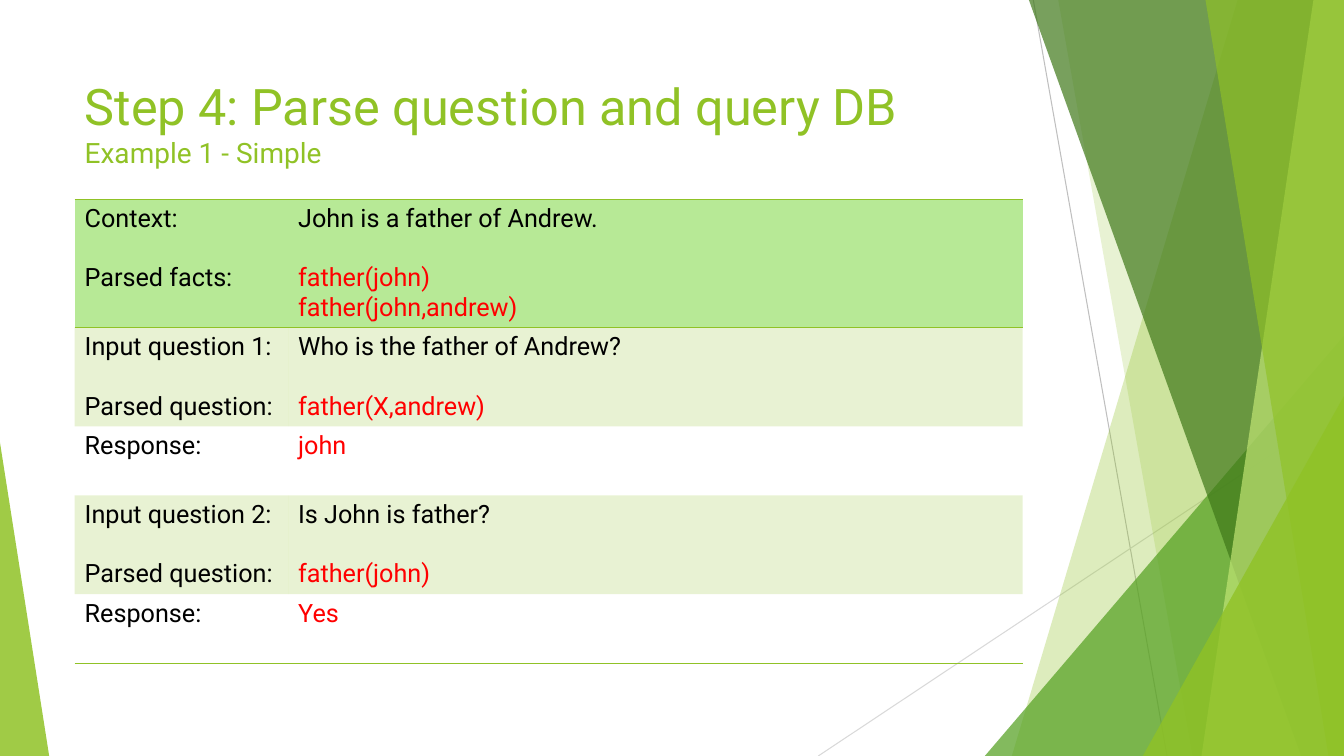
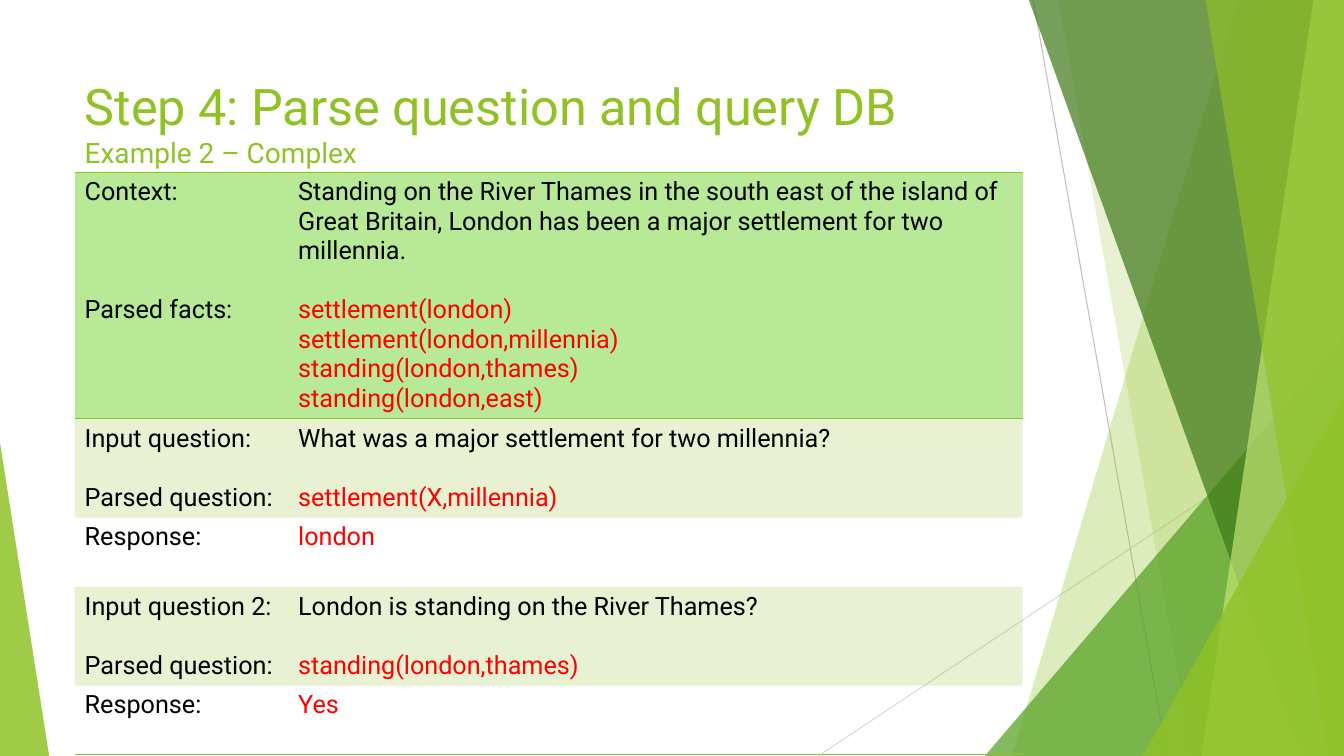
import pptx
import pptx.dml.color
import pptx.enum.shapes
import pptx.enum.text
import pptx.oxml
import pptx.oxml.ns
import pptx.util
from lxml import etree

Cm, Pt = pptx.util.Cm, pptx.util.Pt
qn = pptx.oxml.ns.qn
WIDE, HIGH = 33.87, 19.05
LEFT, SPAN = 1.88, (5.38, 18.51)
LINE, PAD = 0.744, 0.254
FONT = "Roboto"
STYLE = "{2D5ABB26-0587-4C30-8999-92F81FD0307C}"
HEX = {
    "lime": "90C226", "leaf": "54A021", "pine": "3F7819", "pale": "C0E474",
    "mint": "B7E996", "ink": "000000", "red": "FF0000",
    "gray": "BFBFBF", "mist": "D9D9D9",
}
BANDS = {"head": ("mint", 100), "ask": ("lime", 20)}
TITLE = {
    "word_wrap": True, "margin_top": Cm(0.2),
    "auto_size": pptx.enum.text.MSO_AUTO_SIZE.NONE,
    "vertical_anchor": pptx.enum.text.MSO_ANCHOR.TOP,
}
PLACE = {"left": Cm(LEFT), "top": Cm(1.7), "width": Cm(23.88), "height": Cm(3.66)}


def put(item, values):
    """Set attributes of an item from a dict."""
    for name, value in values.items():
        setattr(item, name, value)


def rgb(name):
    """Return a named colour."""
    return pptx.dml.color.RGBColor.from_string(HEX[name])


def tint(fill, root, name, alpha):
    """Fill with a colour at a percentage of opacity."""
    fill.solid()
    fill.fore_color.rgb = rgb(name)
    if alpha < 100:
        color = next(root.iter(qn("a:srgbClr")))
        etree.SubElement(color, qn("a:alpha"), val=str(alpha * 1000))


def paint(shape, name, alpha):
    """Give a shape a plain fill without line or shadow."""
    shape.shadow.inherit = False
    shape.line.fill.background()
    tint(shape.fill, shape.element.spPr, name, alpha)
    return shape


def shard(shapes, top, foot, name, alpha):
    """Draw a full-height blade that ends at the right edge."""
    points = [(Cm(x), Cm(y)) for x, y in ((top, 0), (WIDE, 0), (WIDE, HIGH), (foot, HIGH))]
    pen = shapes.build_freeform(*points[0], scale=1.0)
    pen.add_line_segments(points[1:], close=True)
    return paint(pen.convert_to_shape(), name, alpha)


def wedge(shapes, left, top, width, peak, name, alpha):
    """Draw a triangle that stands on the bottom edge."""
    kind = pptx.enum.shapes.MSO_SHAPE.ISOSCELES_TRIANGLE
    shape = shapes.add_shape(kind, Cm(left), Cm(top), Cm(width), Cm(HIGH - top))
    shape.adjustments[0] = peak
    return paint(shape, name, alpha)


def rule(shapes, start, end, name):
    """Draw a thin straight line."""
    kind = pptx.enum.shapes.MSO_CONNECTOR.STRAIGHT
    line = shapes.add_connector(kind, *map(Cm, start + end))
    line.line.color.rgb = rgb(name)
    line.line.width = Pt(0.75)
    etree.SubElement(line.element.spPr, qn("a:effectLst"))
    return line


def adorn(slide):
    """Draw the shared decoration and move it to the layout."""
    shapes, layout = slide.shapes, slide.slide_layout
    for holder in list(layout.placeholders):
        if holder.placeholder_format.idx:
            layout.shapes.element.remove(holder.element)
    parts = [
        rule(shapes, (26.04, 0), (29.41, HIGH), "gray"),
        rule(shapes, (WIDE, 10.24), (20.62, HIGH), "mist"),
        shard(shapes, 31.19, 25.5, "lime", 30),
        shard(shapes, 26.67, 30.05, "lime", 20),
        wedge(shapes, 24.82, 8.46, 9.05, 1, "leaf", 72),
        shard(shapes, 25.93, 32.79, "pine", 70),
        shard(shapes, 33.1, 30.28, "pale", 70),
        shard(shapes, 30.38, 33.48, "lime", 65),
        wedge(shapes, 28.8, 9.98, 5.07, 1, "lime", 80),
        wedge(shapes, 0, 11.15, 1.24, 0, "lime", 85),
    ]
    for part in parts:
        layout.shapes.element.append(part.element)


def write(frame, lines):
    """Write paragraphs given as text, size, colour and blank lines before."""
    for index, (text, size, name, gap) in enumerate(lines):
        para = frame.add_paragraph() if index else frame.paragraphs[0]
        para.alignment = pptx.enum.text.PP_ALIGN.LEFT
        if gap:
            para.space_before = Pt(round(gap * LINE / 2.54 * 72, 1))
        run = para.add_run()
        run.text = text
        put(run.font, {"name": FONT, "size": Pt(size), "bold": False})
        run.font.color.rgb = rgb(name)


def head(slide, note):
    """Place and write the title with its smaller second line."""
    title = slide.shapes.title
    put(title, PLACE)
    put(title.text_frame, TITLE)
    write(title.text_frame, [
        ("Step 4: Parse question and query DB", 36, "lime", 0),
        (note, 20, "lime", 0),
    ])


def facts(text, wrap, items):
    """Return the context row, whose text takes wrap lines."""
    left = [("Context:", 18, "ink", 0), ("Parsed facts:", 18, "ink", wrap)]
    right = [(text, 18, "ink", 0)]
    right += [(item, 18, "red", int(i == 0)) for i, item in enumerate(items)]
    return "head", wrap + 1 + len(items), left, right


def ask(label, text, query):
    """Return a question row."""
    left = [(label, 18, "ink", 0), ("Parsed question:", 18, "ink", 1)]
    return "ask", 3, left, [(text, 18, "ink", 0), (query, 18, "red", 1)]


def reply(text):
    """Return a response row."""
    return None, 2, [("Response:", 18, "ink", 0)], [(text, 18, "red", 0)]


def edge(props, side):
    """Add a green border to one side of a cell."""
    line = etree.Element(qn("a:" + side), w=str(Pt(1)))
    fill = etree.SubElement(line, qn("a:solidFill"))
    etree.SubElement(fill, qn("a:srgbClr"), val=HEX["lime"])
    props.insert(0, line)


def grid(slide, top, rows):
    """Build the table of context, questions and responses."""
    tall = sum(row[1] * LINE + PAD for row in rows)
    frame = slide.shapes.add_table(len(rows), 2, Cm(LEFT), Cm(top), Cm(sum(SPAN)), Cm(tall))
    table = frame.table
    put(table, {"first_row": False, "horz_banding": False})
    next(frame.element.iter(qn("a:tableStyleId"))).text = STYLE
    for column, width in zip(table.columns, SPAN):
        column.width = Cm(width)
    for index, (band, count, *texts) in enumerate(rows):
        table.rows[index].height = Cm(count * LINE + PAD)
        for cell, lines in zip(table.rows[index].cells, texts):
            props = cell._tc.get_or_add_tcPr()
            if band:
                tint(cell.fill, props, *BANDS[band])
            else:
                cell.fill.background()
            if index in (0, len(rows) - 1):
                edge(props, "lnB")
            if index == 0:
                edge(props, "lnT")
            write(cell.text_frame, lines)


def main():
    """Build and save the slides."""
    deck = pptx.Presentation()
    put(deck, {"slide_width": Cm(WIDE), "slide_height": Cm(HIGH)})
    pages = [
        ("Example 1 - Simple", 5.02, [
            facts("John is a father of Andrew.", 1, ["father(john)", "father(john,andrew)"]),
            ask("Input question 1:", "Who is the father of Andrew?", "father(X,andrew)"),
            reply("john"),
            ask("Input question 2:", "Is John is father?", "father(john)"),
            reply("Yes"),
        ]),
        ("Example 2 – Complex", 4.34, [
            facts(
                "Standing on the River Thames in the south east of the island of "
                "Great Britain, London has been a major settlement for two millennia.",
                3,
                ["settlement(london)", "settlement(london,millennia)",
                 "standing(london,thames)", "standing(london,east)"],
            ),
            ask("Input question:", "What was a major settlement for two millennia?",
                "settlement(X,millennia)"),
            reply("london"),
            ask("Input question 2:", "London is standing on the River Thames?",
                "standing(london,thames)"),
            reply("Yes"),
        ]),
    ]
    for index, (note, top, rows) in enumerate(pages):
        slide = deck.slides.add_slide(deck.slide_layouts[5])
        if index == 0:
            adorn(slide)
        head(slide, note)
        grid(slide, top, rows)
    deck.save("out.pptx")


if __name__ == "__main__":
    main()
